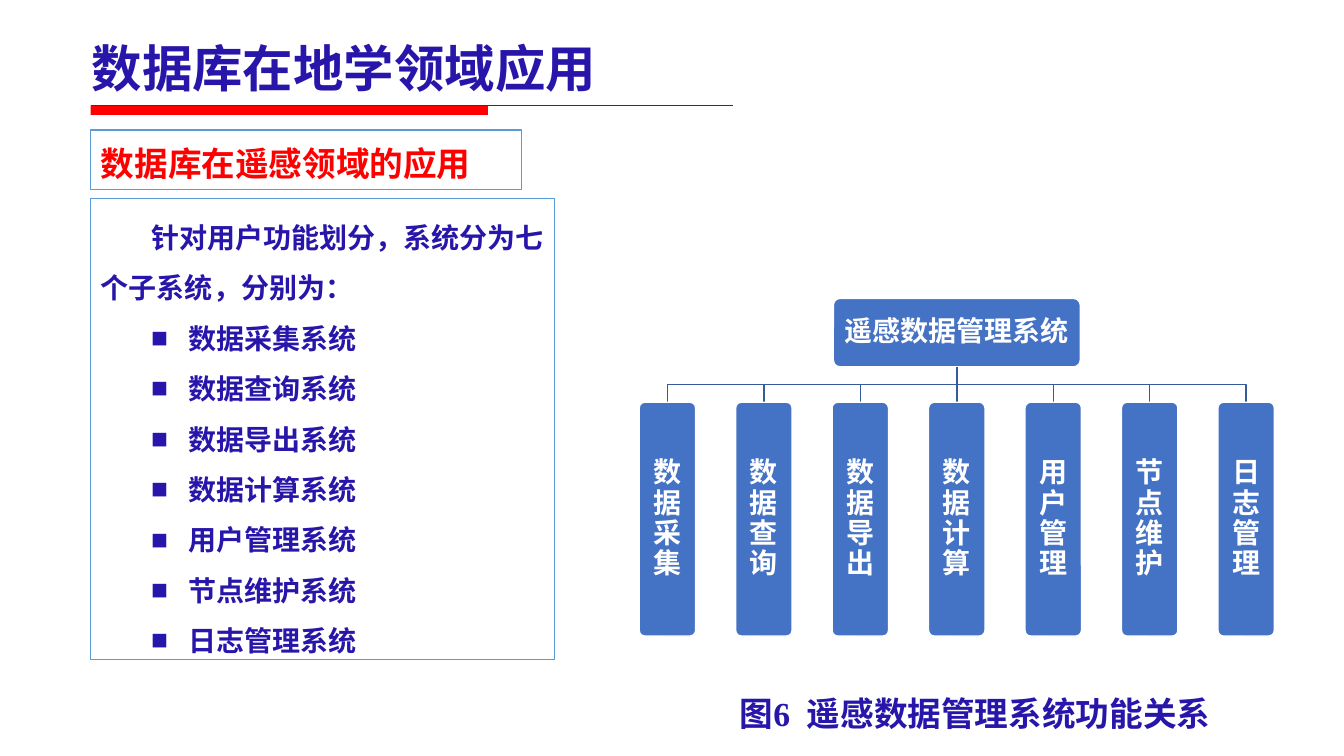
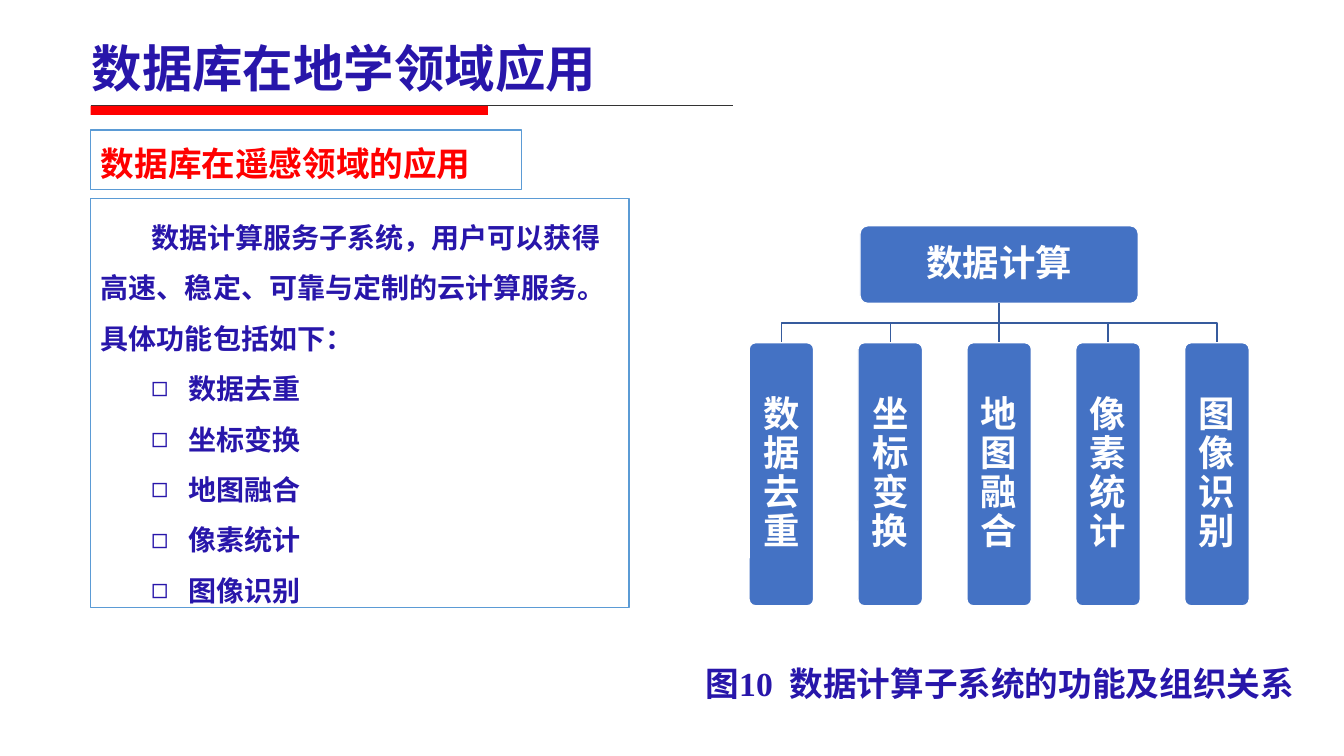
from dataclasses import dataclass

from lxml.etree import SubElement
from pptx import Presentation
from pptx.dml.color import RGBColor
from pptx.enum.shapes import MSO_CONNECTOR as Connector, MSO_SHAPE as Shape
from pptx.enum.text import MSO_ANCHOR as Anchor, MSO_AUTO_SIZE as AutoSize, PP_ALIGN as Align
from pptx.oxml.ns import qn
from pptx.util import Emu, Pt

EMU_PER_PX = 9144
SANS = "Noto Sans CJK SC"
SERIF = "Times New Roman"
COLORS = {
    "ink": "2816AA",
    "accent": "FF0000",
    "rule": "333333",
    "frame": "5B9BD5",
    "paper": "FFFFFF",
    "node": "4472C4",
    "branch": "365B9D",
}
TITLE = "数据库在地学领域应用"
TOPIC = "数据库在遥感领域的应用"
TITLE_BOX = (81, 32, 675, 64)
RULE_BOX = (90, 105, 637, 9)
BAR_WIDTH = 394
TOPIC_BOX = (90, 129, 427, 59)


@dataclass
class SystemPage:
    """Content and layout of one system slide."""
    intro: str
    functions: list
    bullet: str
    list_box: tuple
    root: str
    branches: list
    chart_box: tuple
    root_size: tuple
    leaf_size: tuple
    node_pt: int
    node_inset: int
    figure: str
    caption: str
    caption_box: tuple


PAGES = [
    SystemPage(
        intro="针对用户功能划分，系统分为七个子系统，分别为：",
        functions=["数据采集系统", "数据查询系统", "数据导出系统", "数据计算系统",
                   "用户管理系统", "节点维护系统", "日志管理系统"],
        bullet="■",
        list_box=(90, 197, 460, 457),
        root="遥感数据管理系统",
        branches=["数据采集", "数据查询", "数据导出", "数据计算",
                  "用户管理", "节点维护", "日志管理"],
        chart_box=(634, 296, 630, 335),
        root_size=(245, 68),
        leaf_size=(56, 232),
        node_pt=20,
        node_inset=9,
        figure="6",
        caption="遥感数据管理系统功能关系",
        caption_box=(712, 683, 510, 50),
    ),
    SystemPage(
        intro="数据计算服务子系统，用户可以获得高速、稳定、可靠与定制的云计算服务。具体功能包括如下：",
        functions=["数据去重", "坐标变换", "地图融合", "像素统计", "图像识别"],
        bullet="◻",
        list_box=(90, 197, 534, 406),
        root="数据计算",
        branches=["数据去重", "坐标变换", "地图融合", "像素统计", "图像识别"],
        chart_box=(743, 224, 496, 377),
        root_size=(276, 77),
        leaf_size=(64, 261),
        node_pt=26,
        node_inset=12,
        figure="10",
        caption="数据计算子系统的功能及组织关系",
        caption_box=(672, 653, 639, 50),
    ),
]


def px(length):
    """Turn px into EMU."""
    return Emu(round(length * EMU_PER_PX))


def color(name):
    """Return a palette colour."""
    return RGBColor.from_string(COLORS[name])


def place(part, box):
    """Move and size a part to a px box."""
    part.left, part.top, part.width, part.height = map(px, box)


def style_run(run, size, ink, font=SANS):
    """Set bold type in one font for Latin and Chinese text."""
    run.font.size = Pt(size)
    run.font.bold = True
    run.font.color.rgb = color(ink)
    run.font.name = font
    SubElement(run._r.get_or_add_rPr(), qn("a:ea")).set("typeface", SANS)


def style_paragraph(paragraph, size, ink, spacing, after=0, align=Align.LEFT, font=SANS):
    """Set spacing, alignment and type of a paragraph."""
    paragraph.alignment = align
    paragraph.line_spacing = spacing
    paragraph.space_before = Pt(0)
    paragraph.space_after = Pt(after)
    for run in paragraph.runs:
        style_run(run, size, ink, font)


def set_indent(paragraph, margin, indent, bullet=None):
    """Set the margin, first-line indent and bullet of a paragraph."""
    properties = paragraph._p.get_or_add_pPr()
    properties.set("marL", str(px(margin)))
    properties.set("indent", str(px(indent)))
    if bullet:
        SubElement(properties, qn("a:buFont")).set("typeface", SERIF)
        SubElement(properties, qn("a:buChar")).set("char", bullet)
    else:
        SubElement(properties, qn("a:buNone"))


def paint(part, fill, line=None):
    """Fill a part and give it a thin outline or none."""
    part.fill.solid()
    part.fill.fore_color.rgb = color(fill)
    if line:
        part.line.color.rgb = color(line)
        part.line.width = Pt(1)
    else:
        part.line.fill.background()


def draw_line(slide, start, end, ink, weight):
    """Draw a straight line between two px points."""
    line = slide.shapes.add_connector(Connector.STRAIGHT, *map(px, (*start, *end)))
    line.line.color.rgb = color(ink)
    line.line.width = Pt(weight)
    SubElement(line._element.spPr, qn("a:effectLst"))


def draw_branch(slide, start, end):
    """Join a parent to a child below it, turning halfway down."""
    if start[0] == end[0]:
        draw_line(slide, start, end, "branch", 1)
        return
    turn = (start[1] + end[1]) / 2
    corners = [(start[0], turn), (end[0], turn), end]
    outline = slide.shapes.build_freeform(*map(px, start))
    outline.add_line_segments([(px(x), px(y)) for x, y in corners], close=False)
    branch = outline.convert_to_shape()
    branch.shadow.inherit = False
    branch.fill.background()
    branch.line.color.rgb = color("branch")
    branch.line.width = Pt(1)


def add_header(slide, title_box, rule_box, topic_box):
    """Place the title, its two-part rule and the framed topic."""
    title = slide.shapes.title
    place(title, title_box)
    title.text_frame.text = TITLE
    title.text_frame.auto_size = AutoSize.NONE
    title.text_frame.vertical_anchor = Anchor.MIDDLE
    style_paragraph(title.text_frame.paragraphs[0], 36, "ink", 1.1, after=6)

    left, top, width, height = rule_box
    draw_line(slide, (left, top), (left + width, top), "rule", 0.75)
    bar = slide.shapes.add_shape(Shape.RECTANGLE, *map(px, (left, top, BAR_WIDTH, height)))
    bar.shadow.inherit = False
    paint(bar, "accent")

    topic = slide.placeholders[1]
    place(topic, topic_box)
    paint(topic, "paper", "frame")
    topic.text_frame.text = TOPIC
    topic.text_frame.auto_size = AutoSize.NONE
    line = topic.text_frame.paragraphs[0]
    style_paragraph(line, 24, "accent", 1.2, after=6, font=SERIF)
    set_indent(line, 0, 0)


def add_function_list(slide, box, intro, functions, bullet):
    """Fill the framed body with an introduction and a bulleted list."""
    body = slide.placeholders[2]
    place(body, box)
    paint(body, "paper", "frame")
    frame = body.text_frame
    frame.auto_size = AutoSize.NONE
    frame.text = "\n".join([intro, *functions])
    opening, *items = frame.paragraphs
    style_paragraph(opening, 20, "ink", 1.5)
    set_indent(opening, 0, 50)
    for item in items:
        item.level = 1
        style_paragraph(item, 20, "ink", 1.5)
        set_indent(item, 87, -37, bullet)


def add_node(slide, box, label, size, inset):
    """Draw one labelled node of the hierarchy."""
    node = slide.shapes.add_shape(Shape.ROUNDED_RECTANGLE, *map(px, box))
    node.adjustments[0] = 0.1
    node.shadow.inherit = False
    paint(node, "node", "paper")
    frame = node.text_frame
    frame.word_wrap = True
    frame.vertical_anchor = Anchor.MIDDLE
    frame.margin_left = frame.margin_right = px(inset)
    frame.margin_top = frame.margin_bottom = px(inset)
    frame.text = label
    style_paragraph(frame.paragraphs[0], size, "paper", 0.9, align=Align.CENTER)


def add_hierarchy(slide, box, page):
    """Draw a root over evenly spaced branches inside the box."""
    left, top, width, height = box
    root_width, root_height = page.root_size
    leaf_width, leaf_height = page.leaf_size
    middle = left + width / 2
    leaf_top = top + height - leaf_height
    last = len(page.branches) - 1

    root_box = (middle - root_width / 2, top, root_width, root_height)
    add_node(slide, root_box, page.root, page.node_pt, page.node_inset)
    for index, label in enumerate(page.branches):
        leaf_left = left + index * (width - leaf_width) / last
        center = leaf_left + leaf_width / 2
        draw_branch(slide, (middle, top + root_height), (center, leaf_top))
        leaf_box = (leaf_left, leaf_top, leaf_width, leaf_height)
        add_node(slide, leaf_box, label, page.node_pt, page.node_inset)


def add_caption(slide, box, figure, caption):
    """Write the figure number and caption with a wide gap between them."""
    frame = slide.shapes.add_textbox(*map(px, box)).text_frame
    frame.word_wrap = True
    line = frame.paragraphs[0]
    line.alignment = Align.CENTER
    for text, font in (("图", SANS), (figure, SERIF), (" ", SERIF), (caption, SERIF)):
        run = line.add_run()
        run.text = text
        style_run(run, 24, "ink", font)
        if text == " ":
            run._r.get_or_add_rPr().set("spc", "600")


def add_system_slide(deck, page):
    """Build one slide from its page content."""
    slide = deck.slides.add_slide(deck.slide_layouts.get_by_name("Two Content"))
    add_header(slide, TITLE_BOX, RULE_BOX, TOPIC_BOX)
    add_function_list(slide, page.list_box, page.intro, page.functions, page.bullet)
    add_hierarchy(slide, page.chart_box, page)
    add_caption(slide, page.caption_box, page.figure, page.caption)


def main():
    """Build and save the deck."""
    deck = Presentation()
    deck.slide_width, deck.slide_height = px(1333), px(750)
    for page in PAGES:
        add_system_slide(deck, page)
    deck.save("out.pptx")


if __name__ == "__main__":
    main()
